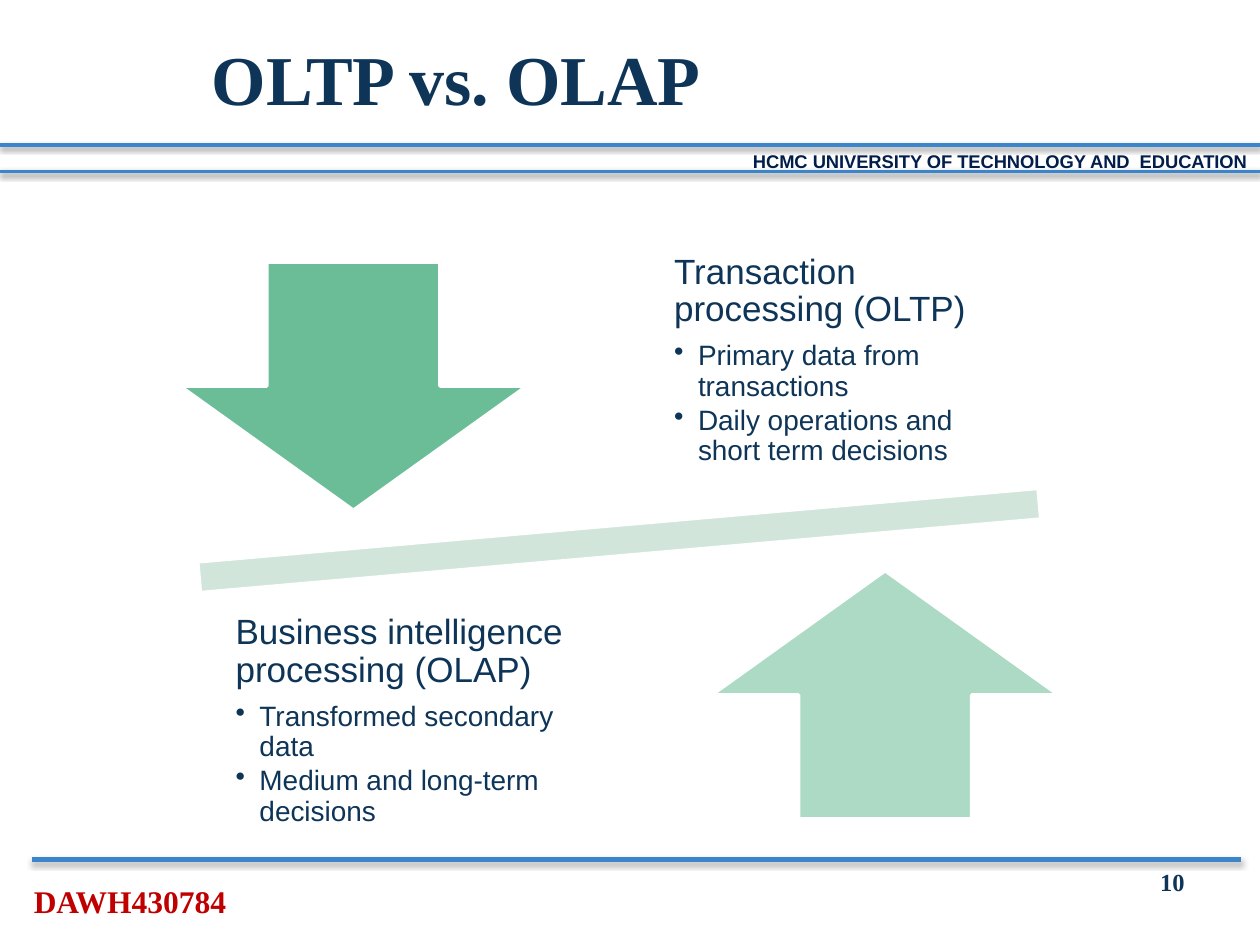
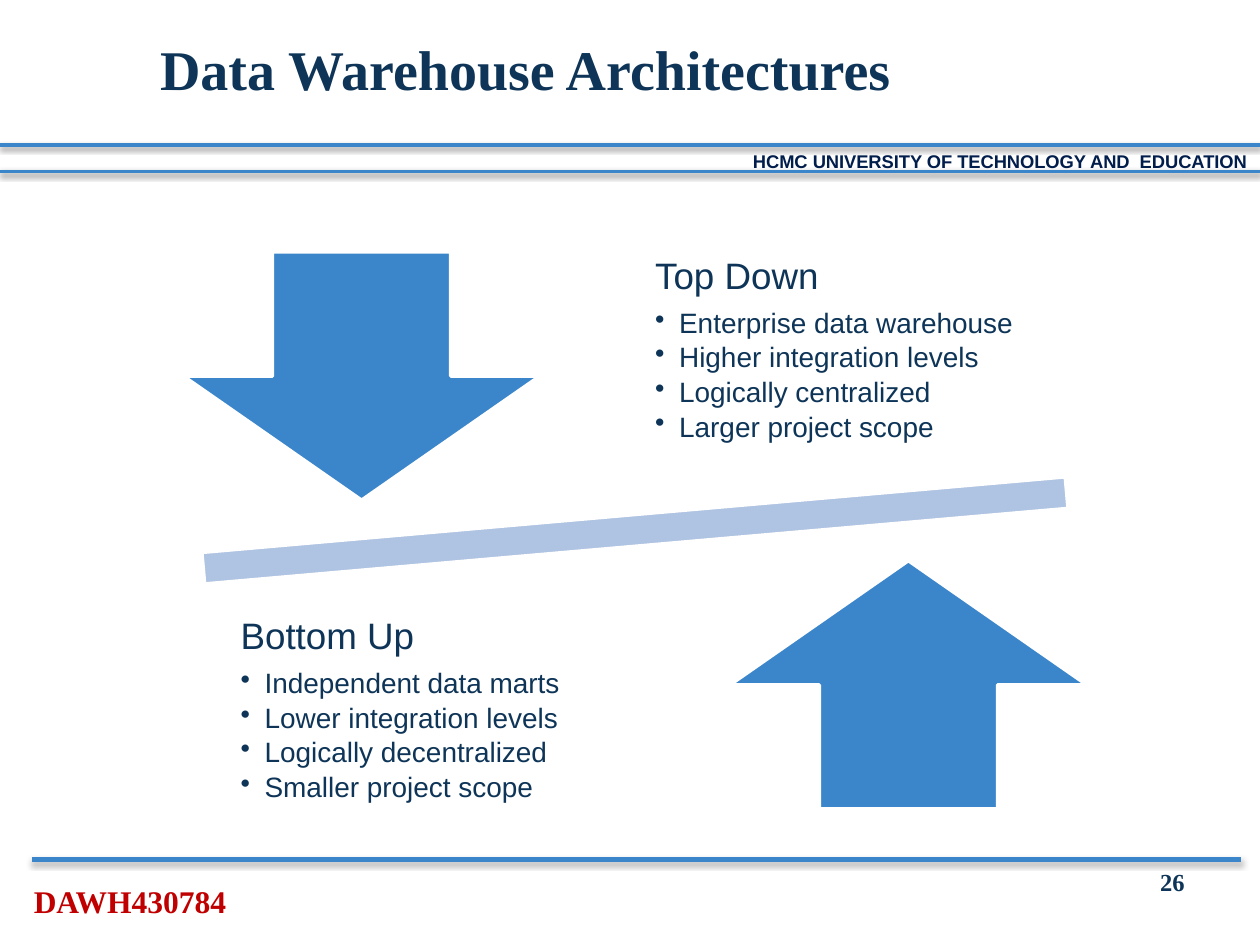
from dataclasses import dataclass

from lxml.etree import SubElement
from pptx import Presentation
from pptx.dml.color import RGBColor
from pptx.enum.shapes import MSO_CONNECTOR, MSO_SHAPE
from pptx.enum.text import MSO_ANCHOR, MSO_AUTO_SIZE, PP_ALIGN
from pptx.oxml.ns import qn
from pptx.util import Inches, Pt

# The slide is a grid of 100 columns by 75 rows of square cells
COLUMNS, ROWS = 100, 75
CELL = Inches(0.1)

NAVY = RGBColor(0x0E, 0x35, 0x58)
SCHOOL_NAVY = RGBColor(0x00, 0x1D, 0x4B)
CRIMSON = RGBColor(0xC0, 0x00, 0x00)
BLUE = RGBColor(0x3B, 0x86, 0xCB)
PALE_BLUE = RGBColor(0xAF, 0xC3, 0xE2)
GREEN = RGBColor(0x5C, 0xB6, 0x8D)
PALE_GREEN = RGBColor(0xD2, 0xE5, 0xDB)
WHITE = RGBColor(0xFF, 0xFF, 0xFF)

SANS, SERIF = "Arial", "Times New Roman"

# Rows of the balance diagram, measured from its centre
ARROW_REACH, ARROW_HEIGHT = 22.1, 19.7
TEXT_REACH, TEXT_HEIGHT = 24.6, 20.6


@dataclass
class Side:
    """One side of the comparison, with the columns its text takes."""
    heading: str
    points: list
    left: float
    width: float


@dataclass
class Balance:
    """Two opposed arrows and texts around a tilted bar."""
    centre: tuple
    bar_size: tuple
    arrow_span: float
    arrow_width: float
    arrow_color: RGBColor
    arrow_opacities: tuple
    bar_color: RGBColor
    heading_size: int
    upper: Side
    lower: Side


def grid(*cells):
    return [round(cell * CELL) for cell in cells]


def style_font(paragraph, size, color, name=SANS, bold=False):
    font = paragraph.font
    font.size, font.name, font.bold = Pt(size), name, bold
    font.color.rgb = color


def add_rule(slide, left, right, row, weight, opacity, distance):
    """Horizontal rule with a soft shadow below it."""
    rule = slide.shapes.add_connector(
        MSO_CONNECTOR.STRAIGHT, *grid(left, row, right, row))
    rule.line.color.rgb = BLUE
    rule.line.width = Pt(weight)
    effects = SubElement(rule._element.spPr, qn("a:effectLst"))
    shadow = SubElement(effects, qn("a:outerShdw"), blurRad=str(Pt(3.1)),
                        dist=str(Pt(distance)), dir="5400000", rotWithShape="0")
    black = SubElement(shadow, qn("a:srgbClr"), val="000000")
    SubElement(black, qn("a:alpha"), val=str(opacity * 1000))


def add_label(slide, text, place, size, color, name, align=PP_ALIGN.LEFT):
    frame = slide.shapes.add_textbox(*grid(*place)).text_frame
    frame.word_wrap = True
    paragraph = frame.paragraphs[0]
    paragraph.text, paragraph.alignment = text, align
    style_font(paragraph, size, color, name, bold=True)
    return frame


def add_furniture(slide, number):
    """Header band, footer rule, course code and page number."""
    for row in (11.5, 13.6):
        add_rule(slide, 0, COLUMNS, row, weight=2, opacity=38, distance=1.6)
    add_rule(slide, 2.5, 98.5, 68.2, weight=3, opacity=35, distance=1.8)
    school = add_label(slide, "HCMC UNIVERSITY OF TECHNOLOGY AND  EDUCATION",
                       (16.8, 11.9, 83.2, 2.2), 10.5, SCHOOL_NAVY, SANS,
                       PP_ALIGN.RIGHT)
    school.margin_left = school.margin_top = 0
    school.margin_right, school.margin_bottom = grid(1, 0.5)
    add_label(slide, "DAWH430784", (1.7, 69.5, 20, 4), 18, CRIMSON, SERIF)
    add_label(slide, str(number), (71.7, 68.3, 23.3, 5.2), 14, NAVY, SERIF,
              PP_ALIGN.RIGHT)


def set_title(slide, text, place, size):
    title = slide.shapes.title
    title.left, title.top, title.width, title.height = grid(*place)
    frame = title.text_frame
    frame.text = text
    frame.auto_size = MSO_AUTO_SIZE.NONE
    frame.vertical_anchor = MSO_ANCHOR.MIDDLE
    frame.paragraphs[0].alignment = PP_ALIGN.LEFT
    style_font(frame.paragraphs[0], size, NAVY, SERIF, bold=True)


def add_figure(slide, preset, place, color, opacity=100):
    """White-edged preset shape, optionally see-through."""
    figure = slide.shapes.add_shape(preset, *grid(*place))
    figure.shadow.inherit = False
    figure.fill.solid()
    figure.fill.fore_color.rgb = color
    figure.line.color.rgb = WHITE
    figure.line.width = Pt(2)
    if opacity < 100:
        fill_color = figure._element.spPr.find(qn("a:solidFill"))[0]
        SubElement(fill_color, qn("a:alpha"), val=str(opacity * 1000))
    return figure


def make_bullet(paragraph):
    indent = Inches(0.19)
    properties = paragraph._p.get_or_add_pPr()
    properties.set("marL", str(indent))
    properties.set("indent", str(-indent))
    SubElement(properties, qn("a:buChar"), char="•")


def add_side_text(slide, side, top, heading_size):
    place = grid(side.left, top, side.width, TEXT_HEIGHT)
    frame = slide.shapes.add_textbox(*place).text_frame
    frame.word_wrap = True
    frame.vertical_anchor = MSO_ANCHOR.MIDDLE
    frame.margin_left = frame.margin_right = Inches(0.16)
    frame.margin_top = frame.margin_bottom = Inches(0.16)
    frame.text = "\n".join([side.heading, *side.points])
    heading, *points = frame.paragraphs
    heading.line_spacing, heading.space_after = 0.9, Pt(7)
    style_font(heading, heading_size, NAVY)
    for point in points:
        point.level = 1
        point.line_spacing, point.space_after = 0.9, Pt(2.5)
        make_bullet(point)
        style_font(point, 16, NAVY)


def add_balance(slide, balance):
    middle_x, middle_y = balance.centre
    # Tilted bar
    bar_width, bar_height = balance.bar_size
    bar = add_figure(slide, MSO_SHAPE.MATH_MINUS,
                     (middle_x - bar_width / 2, middle_y - bar_height / 2,
                      bar_width, bar_height), balance.bar_color)
    bar.rotation = 355
    # Arrows mirrored about the centre
    half_span = balance.arrow_span / 2
    arrows = (
        (MSO_SHAPE.DOWN_ARROW, middle_x - half_span, middle_y - ARROW_REACH),
        (MSO_SHAPE.UP_ARROW, middle_x + half_span - balance.arrow_width,
         middle_y + ARROW_REACH - ARROW_HEIGHT),
    )
    for (preset, left, top), opacity in zip(arrows, balance.arrow_opacities):
        add_figure(slide, preset, (left, top, balance.arrow_width, ARROW_HEIGHT),
                   balance.arrow_color, opacity)
    # Texts in the two free quarters
    add_side_text(slide, balance.upper, middle_y - TEXT_REACH,
                  balance.heading_size)
    add_side_text(slide, balance.lower, middle_y + TEXT_REACH - TEXT_HEIGHT,
                  balance.heading_size)


def add_comparison(deck, number, title, title_place, title_size, balance):
    slide = deck.slides.add_slide(deck.slide_layouts[5])
    add_furniture(slide, number)
    set_title(slide, title, title_place, title_size)
    add_balance(slide, balance)


def main():
    deck = Presentation()
    deck.slide_width, deck.slide_height = grid(COLUMNS, ROWS)

    # Transaction processing against analysis
    processing = Balance(
        centre=(49.15, 42.9), bar_size=(91.1, 10.4),
        arrow_span=69.7, arrow_width=27.5,
        arrow_color=GREEN, arrow_opacities=(90, 50), bar_color=PALE_GREEN,
        heading_size=20,
        upper=Side("Transaction processing (OLTP)",
                   ["Primary data from transactions",
                    "Daily operations and short term decisions"], 51.9, 29.3),
        lower=Side("Business intelligence processing (OLAP)",
                   ["Transformed secondary data",
                    "Medium and long-term decisions"], 17.1, 29.3))
    add_comparison(deck, 10, "OLTP vs. OLAP", (15.8, 3.5, 81.7, 5.3), 40,
                   processing)

    # Two ways to build a warehouse
    architectures = Balance(
        centre=(50.4, 42.1), bar_size=(93.6, 10.7),
        arrow_span=71.7, arrow_width=28.3,
        arrow_color=BLUE, arrow_opacities=(100, 100), bar_color=PALE_BLUE,
        heading_size=21,
        upper=Side("Top Down",
                   ["Enterprise data warehouse", "Higher integration levels",
                    "Logically centralized", "Larger project scope"],
                   50.4, 35.9),
        lower=Side("Bottom Up",
                   ["Independent data marts", "Lower integration levels",
                    "Logically decentralized", "Smaller project scope"],
                   17.5, 30.1))
    add_comparison(deck, 26, "Data Warehouse Architectures",
                   (11.7, 0, 85.8, 10.8), 32, architectures)

    deck.save("out.pptx")


if __name__ == "__main__":
    main()
